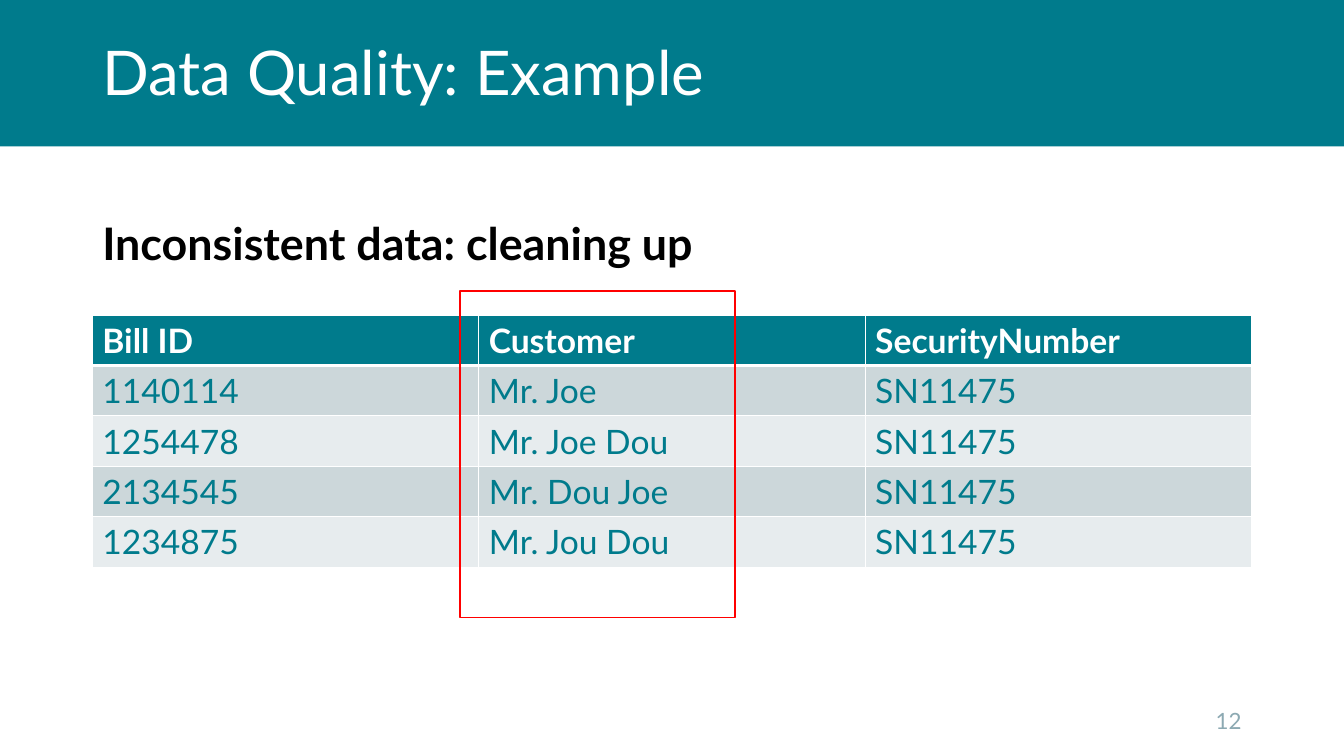
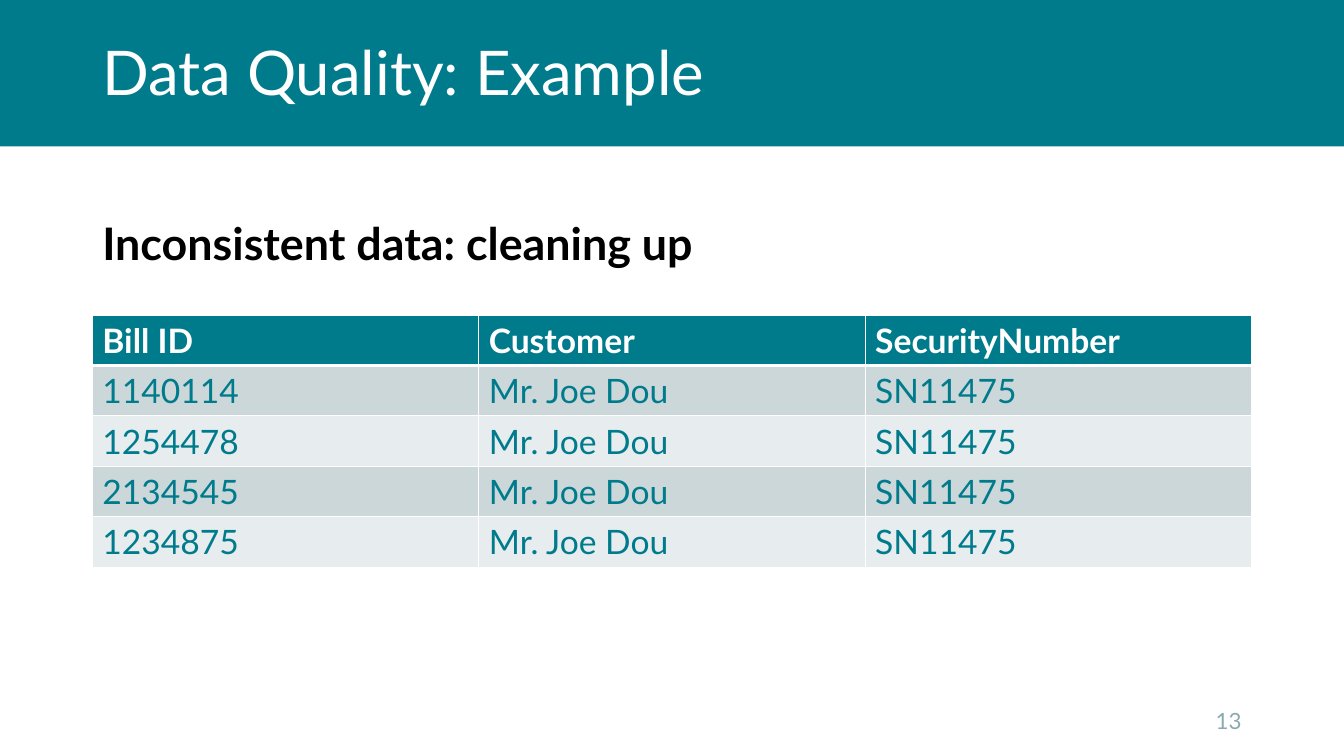
from lxml import etree
from pptx import Presentation
from pptx.dml.color import RGBColor
from pptx.enum.shapes import MSO_SHAPE
from pptx.enum.text import MSO_ANCHOR, PP_ALIGN
from pptx.oxml.ns import qn
from pptx.util import Pt

RECT = MSO_SHAPE.RECTANGLE
TOP, MIDDLE = MSO_ANCHOR.TOP, MSO_ANCHOR.MIDDLE
LEFT, RIGHT = PP_ALIGN.LEFT, PP_ALIGN.RIGHT

FONT = "Lato"
COLORS = {
    "teal": "007B8C",
    "white": "FFFFFF",
    "black": "000000",
    "gray": "8CA9B2",
    "dark": "CCD7DA",
    "light": "E7ECEE",
    "red": "FF0000",
}
WIDTH, HEIGHT = 960, 540
MARGIN = 66
INNER = WIDTH - 2 * MARGIN
BAND = 104.5

TITLE = "Data Quality: Example"
HEADING = "Inconsistent data: cleaning up"
HEADER = ["Bill ID", "Customer", "SecurityNumber"]
BILLS = ["1140114", "1254478", "2134545", "1234875"]
NUMBER = "SN11475"
MIXED = ["Mr. Joe", "Mr. Joe Dou", "Mr. Dou Joe", "Mr. Jou Dou"]
CLEAN = ["Mr. Joe Dou"] * len(BILLS)


def color(name):
    return RGBColor.from_string(COLORS[name])


def style(para, size, tint, bold=False):
    font = para.font
    font.name, font.size, font.bold = FONT, Pt(size), bold
    font.color.rgb = color(tint)


def add_text(slide, box, text, size, tint, bold=False, anchor=TOP, align=LEFT):
    frame = slide.shapes.add_textbox(*map(Pt, box)).text_frame
    frame.word_wrap = True
    frame.vertical_anchor = anchor
    para = frame.paragraphs[0]
    para.text = text
    para.alignment = align
    style(para, size, tint, bold)
    return para


def add_rect(slide, box, fill=None, line=None):
    rect = slide.shapes.add_shape(RECT, *map(Pt, box))
    rect.shadow.inherit = False
    if fill:
        rect.fill.solid()
        rect.fill.fore_color.rgb = color(fill)
    else:
        rect.fill.background()
    if line:
        rect.line.color.rgb = color(line)
        rect.line.width = Pt(1)
    else:
        rect.line.fill.background()


def set_border(cell, side, width):
    props = cell._tc.get_or_add_tcPr()
    line = etree.SubElement(props, qn("a:ln" + side), w=str(Pt(width)))
    fill = etree.SubElement(line, qn("a:solidFill"))
    etree.SubElement(fill, qn("a:srgbClr"), val=COLORS["white"])


def add_grid(slide, box, rows):
    left, top, width, height = box
    count, cols = len(rows), len(rows[0])
    table = slide.shapes.add_table(count, cols, *map(Pt, box)).table
    for col in table.columns:
        col.width = Pt(width / cols)
    for r, values in enumerate(rows):
        table.rows[r].height = Pt(height / count)
        head = r == 0
        fill = "teal" if head else "dark" if r % 2 else "light"
        # The rule below the header is thicker than the others
        widths = {"L": 1, "R": 1, "T": 3 if r == 1 else 1, "B": 3 if head else 1}
        for c, value in enumerate(values):
            cell = table.cell(r, c)
            for side, thick in widths.items():
                set_border(cell, side, thick)
            cell.fill.solid()
            cell.fill.fore_color.rgb = color(fill)
            cell.text = value
            style(cell.text_frame.paragraphs[0], 24,
                  "white" if head else "teal", head)


def add_base(deck, title, page):
    slide = deck.slides.add_slide(deck.slide_layouts[6])
    # Title band
    add_rect(slide, (0, 0, WIDTH, BAND), fill="teal")
    para = add_text(slide, (MARGIN, 1.5, INNER, BAND), title, 44, "white",
                    anchor=MIDDLE)
    para.line_spacing = 0.9
    # Page number
    add_text(slide, (WIDTH - MARGIN - 216, 500.5, 216, 28.8), str(page), 16,
             "gray", anchor=MIDDLE, align=RIGHT)
    return slide


def add_example(deck, page, names, marked=False):
    slide = add_base(deck, TITLE, page)
    # Heading and table
    add_text(slide, (MARGIN, 150.5, 540, 46), HEADING, 32, "black", bold=True)
    rows = [HEADER] + [[bill, name, NUMBER] for bill, name in zip(BILLS, names)]
    add_grid(slide, (MARGIN, 225, INNER, 180), rows)
    # Frame around the customer names
    if marked:
        add_rect(slide, (328.5, 208, 196.5, 233), line="red")


def main():
    deck = Presentation()
    deck.slide_width, deck.slide_height = Pt(WIDTH), Pt(HEIGHT)
    add_example(deck, 12, MIXED, marked=True)
    add_example(deck, 13, CLEAN)
    deck.save("out.pptx")


if __name__ == "__main__":
    main()
